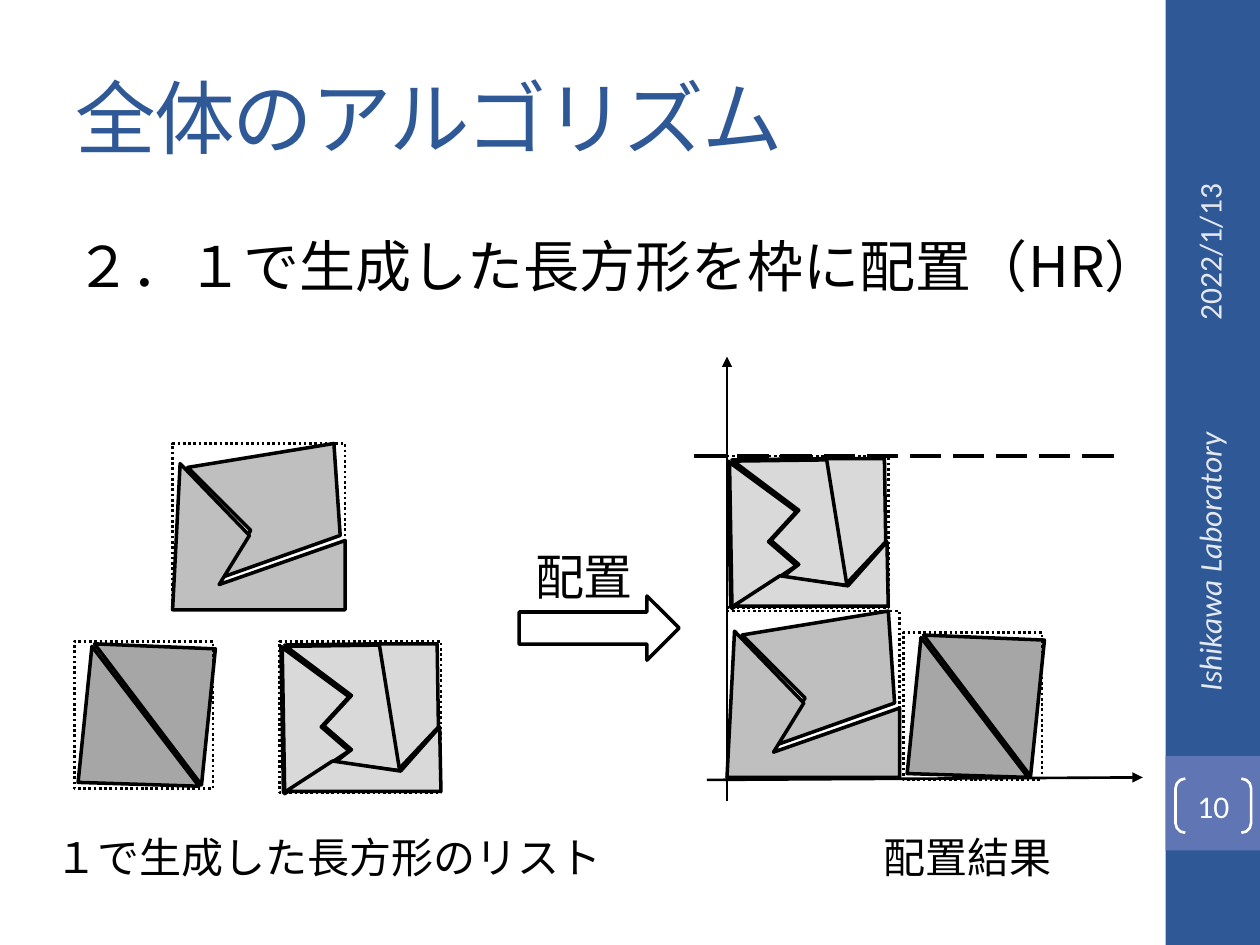
import lxml.etree
import pptx
import pptx.dml.color
import pptx.enum.dml
import pptx.enum.shapes
import pptx.enum.text
import pptx.oxml.ns
import pptx.util

PX = 9144
RGBColor = pptx.dml.color.RGBColor
NAVY = RGBColor(0x2F, 0x58, 0x97)
PERIWINKLE = RGBColor(0x60, 0x76, 0xB4)
MIST = RGBColor(0xE4, 0xE9, 0xEF)
WHITE = RGBColor(0xFF, 0xFF, 0xFF)
BLACK = RGBColor(0, 0, 0)
LIGHT = RGBColor(0xD9, 0xD9, 0xD9)
MEDIUM = RGBColor(0xBF, 0xBF, 0xBF)
DARK = RGBColor(0xA6, 0xA6, 0xA6)

JAPANESE = "Noto Sans CJK JP"
PRESET = pptx.enum.shapes.MSO_SHAPE
DASH = pptx.enum.dml.MSO_LINE
ALIGN = pptx.enum.text.PP_ALIGN
ANCHOR = pptx.enum.text.MSO_ANCHOR
qn = pptx.oxml.ns.qn

ZIGZAG_BACK = [(5, 4), (81, 3), (98, 103), (44, 96), (57, 86), (35, 67), (57, 43)]
ZIGZAG_LEFT = [(2, 5), (55, 44), (33, 68), (55, 87), (4, 121)]


def shifted(points, dx, dy):
    return [(x + dx, y + dy) for x, y in points]


NOTCHED = (137, 132, [
    (MEDIUM, [(62, 69), (37, 107), (133, 73), (128, 0), (12, 19)]),
    (MEDIUM, [(6, 16), (61, 73), (37, 112), (137, 77), (137, 132), (0, 132)]),
])
HALVED = (110, 117, [
    (DARK, [(14, 4), (99, 115), (3, 112)]),
    (DARK, [(101, 114), (16, 2), (112, 6)]),
])
ZIGZAG = (128, 120, [
    (DARK, shifted(ZIGZAG_BACK, -1, -1)),
    (DARK, shifted(ZIGZAG_LEFT, -1, -1)),
    (LIGHT, ZIGZAG_BACK),
    (LIGHT, ZIGZAG_LEFT),
    (LIGHT, [(5, 119), (42, 95), (96, 103), (127, 68), (128, 119)]),
    (LIGHT, [(79, 2), (95, 101), (126, 68), (125, 2)]),
])


def paint(shape, fill=None, line=None, weight=2):
    shape.shadow.inherit = False
    if fill is None:
        shape.fill.background()
    else:
        shape.fill.solid()
        shape.fill.fore_color.rgb = fill
    if line is None:
        shape.line.fill.background()
    else:
        shape.line.color.rgb = line
        shape.line.width = pptx.util.Pt(weight)


def add_preset(shapes, preset, box, **style):
    shape = shapes.add_shape(preset, *(v * PX for v in box))
    paint(shape, **style)
    return shape


def write(shape, text, size, color, font=JAPANESE, align=ALIGN.LEFT,
          anchor=ANCHOR.TOP, leading=None):
    frame = shape.text_frame
    frame.text = text
    frame.word_wrap = True
    frame.vertical_anchor = anchor
    paragraph = frame.paragraphs[0]
    paragraph.alignment = align
    if leading:
        paragraph.line_spacing = pptx.util.Pt(leading)
    run = paragraph.runs[0]
    run.font.size = pptx.util.Pt(size)
    run.font.name = font
    run.font.color.rgb = color
    east_asian = lxml.etree.Element(qn("a:ea"), typeface=JAPANESE)
    run.font._element.find(qn("a:latin")).addnext(east_asian)
    return run


def add_text(shapes, box, *args, rotation=0, **style):
    textbox = shapes.add_textbox(*(v * PX for v in box))
    textbox.rotation = rotation
    return write(textbox, *args, **style)


def add_line(shapes, start, end, weight, arrow=False, dash=None):
    line = shapes.add_connector(pptx.enum.shapes.MSO_CONNECTOR.STRAIGHT,
                                *(v * PX for v in start + end))
    line.line.color.rgb = BLACK
    line.line.width = pptx.util.Pt(weight)
    if dash:
        line.line.dash_style = dash
    properties = line._element.spPr
    if arrow:
        lxml.etree.SubElement(properties.find(qn("a:ln")), qn("a:tailEnd"), type="triangle")
    lxml.etree.SubElement(properties, qn("a:effectLst"))


def add_block(shapes, block, left, top):
    width, height, pieces = block
    for fill, points in pieces:
        outline = [(x * PX, y * PX) for x, y in shifted(points, left, top)]
        builder = shapes.build_freeform(*outline[0], scale=1.0)
        builder.add_line_segments(outline[1:], close=True)
        paint(builder.convert_to_shape(), fill, BLACK)
    bounds = add_preset(shapes, PRESET.RECTANGLE, (left, top, width, height),
                        line=BLACK, weight=1.5)
    bounds.line.dash_style = DASH.ROUND_DOT


def add_sidebar(shapes, left, top, width, height):
    add_preset(shapes, PRESET.RECTANGLE, (left, top, width, height), fill=NAVY)
    add_preset(shapes, PRESET.RECTANGLE, (left, top + 600, width, width), fill=PERIWINKLE)
    add_text(shapes, (left - 99, top + 180, 267, 40), "2022/1/13", 18, MIST, "Calibri",
             ALIGN.CENTER, ANCHOR.MIDDLE, rotation=270)
    laboratory = add_text(shapes, (left - 95, top + 443, 259, 40), "Ishikawa Laboratory",
                          18, MIST, "Calibri", ALIGN.RIGHT, ANCHOR.MIDDLE, rotation=270)
    laboratory.font.italic = True
    number = add_preset(shapes, PRESET.DOUBLE_BRACKET, (left + 8, top + 618, 60, 43),
                        line=WHITE, weight=1.5)
    number.adjustments[0] = 0.18
    frame = number.text_frame
    frame.margin_left = frame.margin_right = frame.margin_top = frame.margin_bottom = 0
    write(number, "10", 18, WHITE, "Calibri", ALIGN.CENTER, ANCHOR.MIDDLE)


def add_headings(shapes, left, top):
    title = add_text(shapes, (left, top, 833, 125), "全体のアルゴリズム", 46, NAVY,
                     "Cambria", anchor=ANCHOR.MIDDLE)
    title.font._element.set("spc", "-100")
    add_text(shapes, (left, top + 156, 907, 56), "２．１で生成した長方形を枠に配置（HR）",
             32, BLACK, leading=33)


def add_caption(shapes, left, top, text):
    add_text(shapes, (left, top, 472, 56), text, 24, BLACK,
             align=ALIGN.CENTER, leading=33)


def add_rectangle_list(shapes, left, top):
    for block, dx, dy in ((NOTCHED, 78, 0), (HALVED, 0, 157), (ZIGZAG, 163, 157)):
        add_block(shapes.add_group_shape().shapes, block, left + dx, top + dy)
    add_caption(shapes, left - 34, top + 297, "１で生成した長方形のリスト")


def add_placement(shapes, left, top):
    chart = shapes.add_group_shape().shapes
    add_line(chart, (left, top + 353), (left, top), 1.5, arrow=True)
    add_line(chart, (left - 16, top + 336), (left + 330, top + 334), 1.5, arrow=True)
    add_block(chart, ZIGZAG, left, top + 79)
    add_line(chart, (left - 26, top + 79), (left + 309, top + 79), 2.25,
             dash=DASH.LONG_DASH)
    add_block(chart, NOTCHED, left, top + 202)
    add_block(chart, HALVED, left + 140, top + 219)
    add_caption(shapes, left - 45, top + 366, "配置結果")


def add_step_arrow(shapes, left, top):
    add_preset(shapes, PRESET.RIGHT_ARROW, (left + 10, top + 43, 127, 51),
               fill=WHITE, line=BLACK)
    add_text(shapes, (left, top, 123, 58), "配置", 28, BLACK,
             align=ALIGN.CENTER, leading=33)


def main():
    deck = pptx.Presentation()
    deck.slide_width, deck.slide_height = 1000 * PX, 750 * PX
    shapes = deck.slides.add_slide(deck.slide_layouts[6]).shapes
    add_sidebar(shapes, 925, 0, 75, 750)
    add_headings(shapes, 50, 30)
    add_rectangle_list(shapes, 59, 352)
    add_placement(shapes, 577, 283)
    add_step_arrow(shapes, 402, 430)
    deck.save("out.pptx")


if __name__ == "__main__":
    main()
